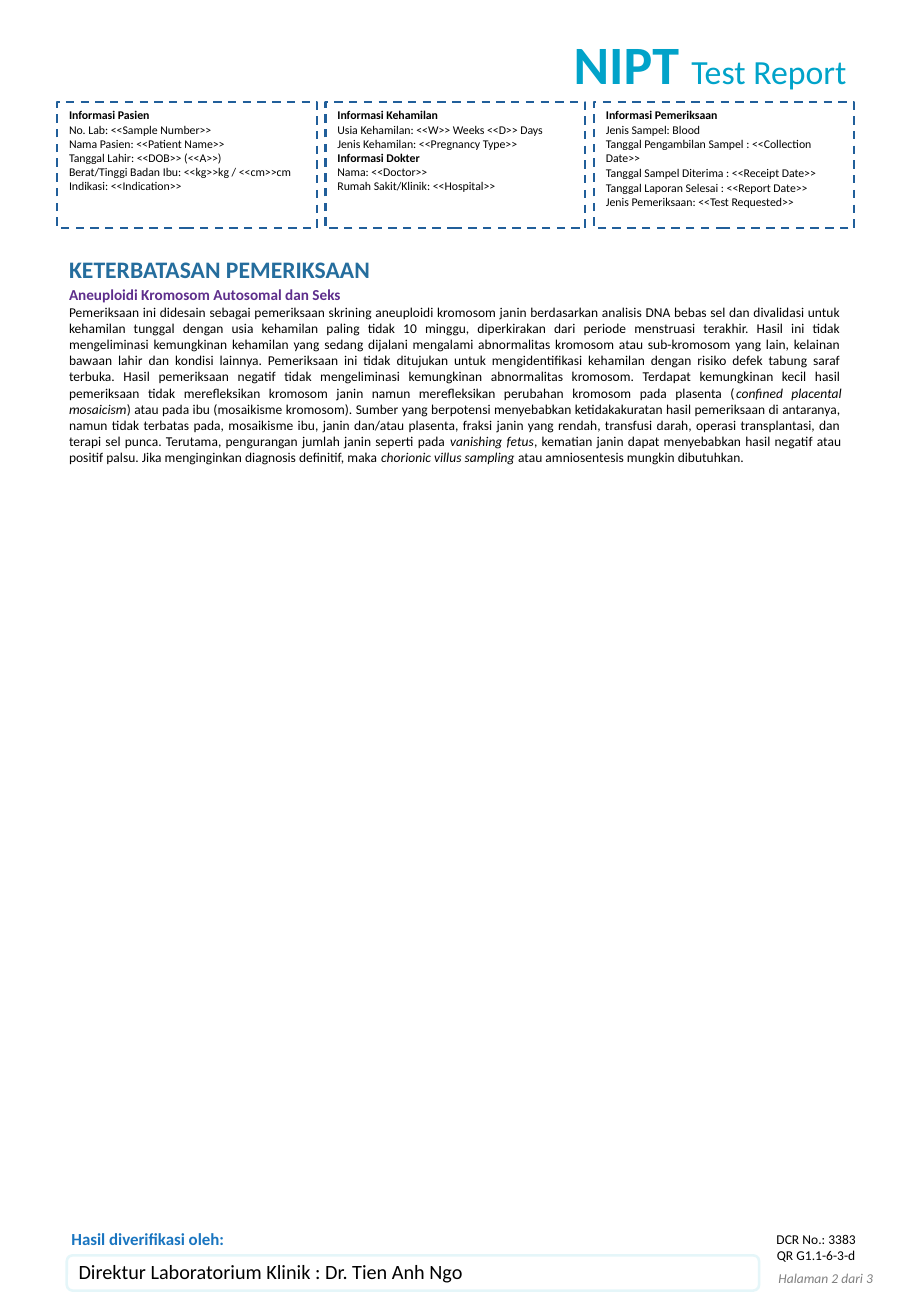
from dataclasses import dataclass

from pptx import Presentation
from pptx.dml.color import RGBColor
from pptx.enum.dml import MSO_LINE
from pptx.enum.shapes import MSO_SHAPE
from pptx.enum.text import MSO_ANCHOR, MSO_AUTO_SIZE, PP_ALIGN
from pptx.util import Pt


@dataclass(frozen=True)
class Theme:
    font: str = "Calibri"
    title: str = "01A3C9"
    heading: str = "256D9D"
    subheading: str = "5E2E8C"
    verified: str = "1975C0"
    ink: str = "000000"
    muted: str = "808080"
    card_line: str = "215F9A"
    signature_line: str = "E5F6F9"
    title_size: float = 32
    subtitle_size: float = 20
    heading_size: float = 14
    signature_size: float = 12
    verified_size: float = 10
    subheading_size: float = 9
    body_size: float = 8
    card_size: float = 7


THEME = Theme()

CARD_LEFT, CARD_TOP, CARD_WIDTH, CARD_HEIGHT = 33.84, 60.48, 154.08, 74.88
CARD_PITCH = 159.12
CARDS = [
    [
        "Informasi Pasien",
        "No. Lab: <<Sample Number>>",
        "Nama Pasien: <<Patient Name>>",
        "Tanggal Lahir: <<DOB>> (<<A>>)",
        "Berat/Tinggi Badan Ibu: <<kg>>kg / <<cm>>cm",
        "Indikasi: <<Indication>>",
    ],
    [
        "Informasi Kehamilan",
        "Usia Kehamilan: <<W>> Weeks <<D>> Days",
        "Jenis Kehamilan: <<Pregnancy Type>>",
        "Informasi Dokter",
        "Nama: <<Doctor>>",
        "Rumah Sakit/Klinik: <<Hospital>>",
    ],
    [
        "Informasi Pemeriksaan",
        "Jenis Sampel: Blood",
        "Tanggal Pengambilan Sampel : <<Collection Date>>",
        "Tanggal Sampel Diterima : <<Receipt Date>>",
        "Tanggal Laporan Selesai : <<Report Date>>",
        "Jenis Pemeriksaan: <<Test Requested>>",
    ],
]

# Upright and italic passages alternate, starting upright.
LIMITATIONS = [
    "Pemeriksaan ini didesain sebagai pemeriksaan skrining aneuploidi kromosom janin "
    "berdasarkan analisis DNA bebas sel dan divalidasi untuk kehamilan tunggal dengan usia "
    "kehamilan paling tidak 10 minggu, diperkirakan dari periode menstruasi terakhir. Hasil "
    "ini tidak mengeliminasi kemungkinan kehamilan yang sedang dijalani mengalami abnormalitas "
    "kromosom atau sub-kromosom yang lain, kelainan bawaan lahir dan kondisi lainnya. "
    "Pemeriksaan ini tidak ditujukan untuk mengidentifikasi kehamilan dengan risiko defek "
    "tabung saraf terbuka. Hasil pemeriksaan negatif tidak mengeliminasi kemungkinan "
    "abnormalitas kromosom. Terdapat kemungkinan kecil hasil pemeriksaan tidak merefleksikan "
    "kromosom janin namun merefleksikan perubahan kromosom pada plasenta (",
    "confined placental mosaicism",
    ") atau pada ibu (mosaikisme kromosom). Sumber yang berpotensi menyebabkan ketidakakuratan "
    "hasil pemeriksaan di antaranya, namun tidak terbatas pada, mosaikisme ibu, janin dan/atau "
    "plasenta, fraksi janin yang rendah, transfusi darah, operasi transplantasi, dan terapi "
    "sel punca. Terutama, pengurangan jumlah janin seperti pada ",
    "vanishing fetus",
    ", kematian janin dapat menyebabkan hasil negatif atau positif palsu. Jika menginginkan "
    "diagnosis definitif, maka ",
    "chorionic villus sampling ",
    "atau amniosentesis mungkin dibutuhkan.",
]


def add_run(paragraph, text, size, color, bold=False, italic=False):
    run = paragraph.add_run()
    run.text = text
    font = run.font
    font.name = THEME.font
    font.size = Pt(size)
    font.bold = bold
    font.italic = italic
    font.color.rgb = RGBColor.from_string(color)


def next_paragraph(frame, align=PP_ALIGN.LEFT):
    """Return the empty first paragraph, or a new one after existing text."""
    first = frame.paragraphs[0]
    paragraph = frame.add_paragraph() if first.runs else first
    paragraph.alignment = align
    return paragraph


def add_text_area(slide, left, top, width, height, wrap=True):
    box = slide.shapes.add_textbox(Pt(left), Pt(top), Pt(width), Pt(height))
    box.text_frame.word_wrap = wrap
    return box.text_frame


def add_label(slide, bounds, text, size, color, bold=False, italic=False, wrap=False):
    frame = add_text_area(slide, *bounds, wrap=wrap)
    add_run(next_paragraph(frame), text, size, color, bold, italic)


def add_outline(slide, kind, bounds, color, weight, anchor):
    """Add an unfilled shape ready for text."""
    outline = slide.shapes.add_shape(kind, *(Pt(length) for length in bounds))
    outline.shadow.inherit = False
    outline.fill.background()
    outline.line.color.rgb = RGBColor.from_string(color)
    outline.line.width = Pt(weight)
    outline.text_frame.word_wrap = True
    outline.text_frame.vertical_anchor = anchor
    return outline


def add_title(slide):
    title = slide.shapes.title
    title.left, title.top, title.width, title.height = Pt(332), Pt(14.4), Pt(178), Pt(46)
    frame = title.text_frame
    frame.auto_size = MSO_AUTO_SIZE.NONE
    frame.word_wrap = False
    frame.vertical_anchor = MSO_ANCHOR.TOP
    paragraph = next_paragraph(frame, PP_ALIGN.CENTER)
    add_run(paragraph, "NIPT ", THEME.title_size, THEME.title, bold=True)
    add_run(paragraph, "Test Report", THEME.subtitle_size, THEME.title)


def add_card(slide, column, lines):
    bounds = (CARD_LEFT + column * CARD_PITCH, CARD_TOP, CARD_WIDTH, CARD_HEIGHT)
    card = add_outline(slide, MSO_SHAPE.RECTANGLE, bounds, THEME.card_line, 1.25, MSO_ANCHOR.TOP)
    card.line.dash_style = MSO_LINE.DASH
    for line in lines:
        paragraph = next_paragraph(card.text_frame)
        if line.startswith("Tanggal") and column == 2:
            paragraph.space_before = Pt(0.4)
        add_run(paragraph, line, THEME.card_size, THEME.ink, bold=line.startswith("Informasi"))


def add_limitations(slide):
    add_label(slide, (33.84, 147.6, 294.5, 24.5), "KETERBATASAN PEMERIKSAAN",
              THEME.heading_size, THEME.heading, bold=True, wrap=True)
    frame = add_text_area(slide, 33.84, 165.6, 472.3, 134.6)
    add_run(next_paragraph(frame, PP_ALIGN.JUSTIFY), "Aneuploidi Kromosom Autosomal dan Seks",
            THEME.subheading_size, THEME.subheading, bold=True)
    body = next_paragraph(frame, PP_ALIGN.JUSTIFY)
    for index, passage in enumerate(LIMITATIONS):
        add_run(body, passage, THEME.body_size, THEME.ink, italic=index % 2 == 1)


def add_signature(slide):
    add_label(slide, (35.3, 724.3, 106.6, 19.4), "Hasil diverifikasi oleh:",
              THEME.verified_size, THEME.verified, bold=True)
    signature = add_outline(slide, MSO_SHAPE.ROUNDED_RECTANGLE, (39.6, 743.8, 410.4, 20.9),
                            THEME.signature_line, 1.5, MSO_ANCHOR.MIDDLE)
    frame = signature.text_frame
    frame.margin_left = Pt(6)
    frame.margin_top, frame.margin_bottom = Pt(0), Pt(2)
    add_run(next_paragraph(frame), "Direktur Laboratorium Klinik : Dr. Tien Anh Ngo",
            THEME.signature_size, THEME.ink)


def add_document_reference(slide):
    frame = add_text_area(slide, 450, 725.8, 67.7, 26.6)
    for line in ("DCR No.: 3383", "QR G1.1-6-3-d"):
        add_run(next_paragraph(frame, PP_ALIGN.CENTER), line, THEME.body_size, THEME.ink)
    add_label(slide, (454.3, 748.8, 73.4, 17.3), "Halaman 2 dari 3",
              THEME.body_size, THEME.muted, italic=True)


def main():
    report = Presentation()
    report.slide_width, report.slide_height = Pt(540), Pt(779.76)
    slide = report.slides.add_slide(report.slide_layouts[5])
    add_title(slide)
    for column, lines in enumerate(CARDS):
        add_card(slide, column, lines)
    add_limitations(slide)
    add_signature(slide)
    add_document_reference(slide)
    report.save("out.pptx")


if __name__ == "__main__":
    main()
